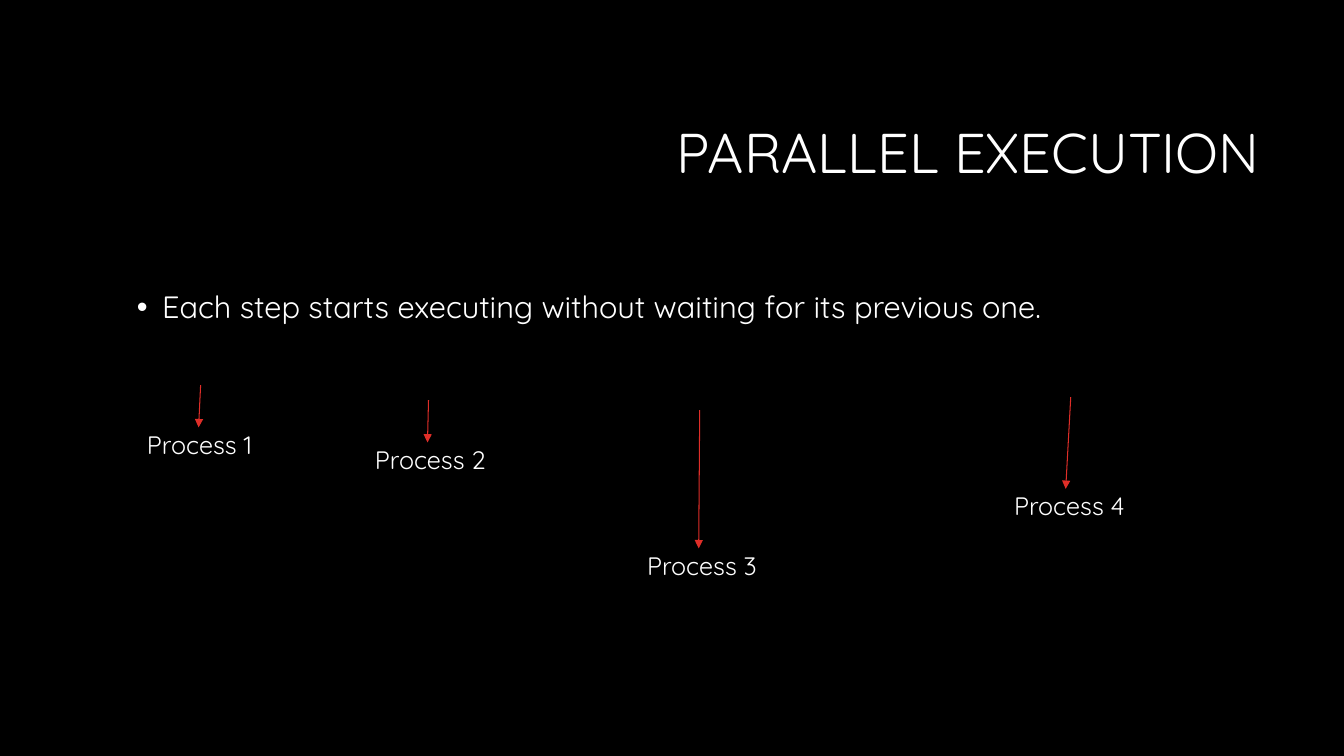
"""Build the slide on parallel execution."""
from lxml import etree
from pptx import Presentation
from pptx.dml.color import RGBColor
from pptx.enum import shapes, text
from pptx.oxml import ns
from pptx.util import Inches, Pt

FONT = "Quicksand"
BLACK, WHITE, RED = "000000", "FFFFFF", "DF2E28"
PROCESSES = [
    ("Process 1", 1.36, 4.21, (1.99, 3.82), (1.97, 4.24)),
    ("Process 2", 3.62, 4.36, (4.25, 3.97), (4.24, 4.39)),
    ("Process 3", 6.32, 5.41, (6.94, 4.07), (6.93, 5.44)),
    ("Process 4", 9.96, 4.82, (10.62, 3.94), (10.57, 4.85)),
]


def rgb(value):
    """Turn a hex string into a colour."""
    return RGBColor.from_string(value)


def add_text(slide, content, box, size):
    """Add a white text box and return its frame and paragraph."""
    sp = slide.shapes.add_textbox(*map(Inches, box))
    tf = sp.text_frame
    tf.word_wrap = True
    p = tf.paragraphs[0]
    p.text = content
    p.font.name = FONT
    p.font.size = Pt(size)
    p.font.color.rgb = rgb(WHITE)
    return tf, p


def add_title(slide, content):
    """Add the right-aligned title."""
    tf, p = add_text(slide, content, (3.17, 0.84, 9.42, 1.41), 40)
    tf.vertical_anchor = text.MSO_ANCHOR.MIDDLE
    p.alignment = text.PP_ALIGN.RIGHT
    p.line_spacing = 0.9


def add_bullet(slide, content):
    """Add the bulleted statement."""
    _, p = add_text(slide, content, (1.26, 2.85, 9.65, 3.74), 22)
    p.line_spacing = 0.9
    p.space_before = Pt(10)
    pPr = p._p.get_or_add_pPr()
    pPr.set("marL", str(Inches(0.25)))
    pPr.set("indent", str(Inches(-0.25)))
    font = etree.Element(ns.qn("a:buFont"), typeface="Arial")
    char = etree.Element(ns.qn("a:buChar"), char="•")
    pPr.find(ns.qn("a:spcBef")).addnext(font)
    font.addnext(char)


def add_label(slide, content, left, top):
    """Add the name of a process."""
    tf, _ = add_text(slide, content, (left, top, 1.33, 0.4), 18)
    tf.word_wrap = False
    tf.auto_size = text.MSO_AUTO_SIZE.SHAPE_TO_FIT_TEXT


def add_arrow(slide, start, end):
    """Add a thin red arrow."""
    line = slide.shapes.add_connector(
        shapes.MSO_CONNECTOR.STRAIGHT, *map(Inches, start + end))
    line.line.color.rgb = rgb(RED)
    line.line.width = Pt(0.75)
    etree.SubElement(line.line._get_or_add_ln(), ns.qn("a:tailEnd"), type="triangle")
    etree.SubElement(line._element.spPr, ns.qn("a:effectLst"))


def main():
    """Build and save the presentation."""
    prs = Presentation()
    prs.slide_width, prs.slide_height = Inches(13.33), Inches(7.5)
    slide = prs.slides.add_slide(prs.slide_layouts[6])
    fill = slide.background.fill
    fill.solid()
    fill.fore_color.rgb = rgb(BLACK)
    add_title(slide, "PARALLEL EXECUTION")
    add_bullet(slide, "Each step starts executing without waiting for its previous one.")
    for name, left, top, start, end in PROCESSES:
        add_arrow(slide, start, end)
        add_label(slide, name, left, top)
    prs.save("out.pptx")


if __name__ == "__main__":
    main()
